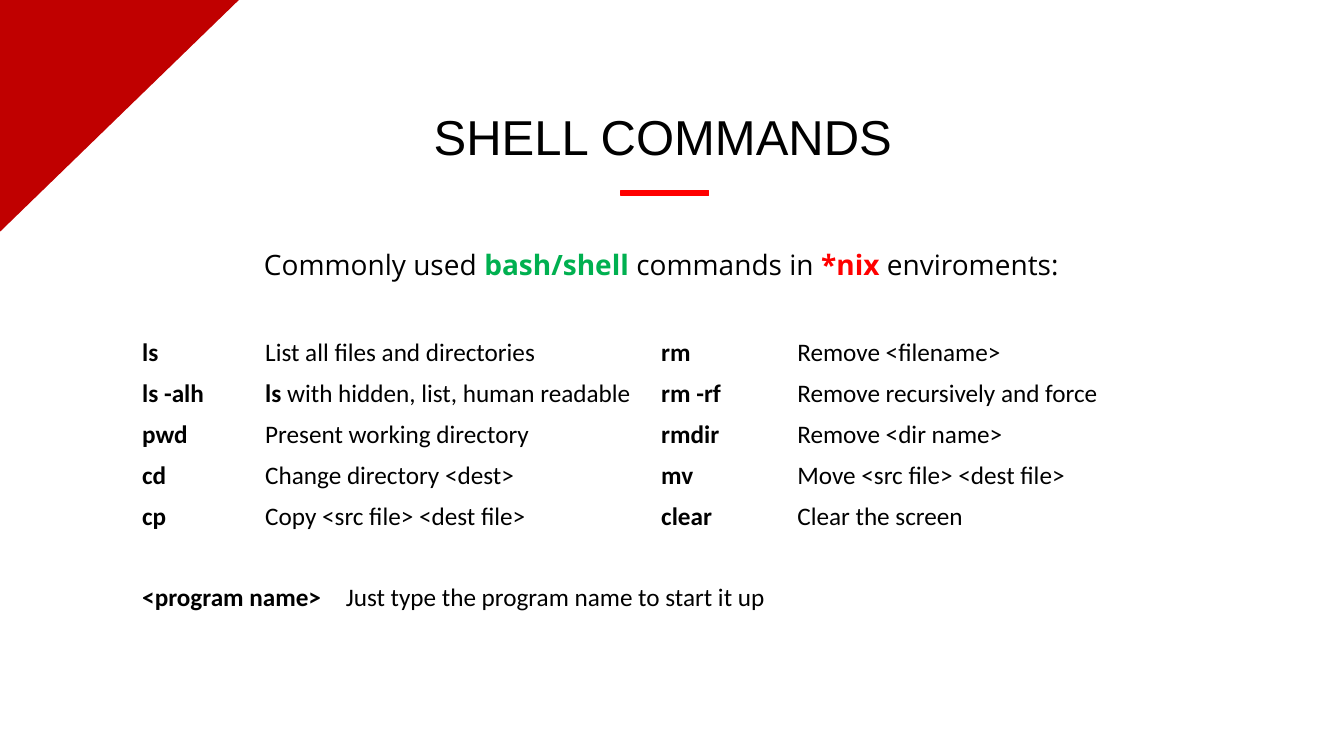
from dataclasses import dataclass

from lxml.etree import SubElement
from pptx import Presentation
from pptx.dml.color import RGBColor
from pptx.enum.shapes import MSO_SHAPE as Shape
from pptx.enum.text import MSO_ANCHOR as Anchor, PP_ALIGN as Align
from pptx.oxml.ns import qn
from pptx.util import Cm, Pt


@dataclass(frozen=True)
class Theme:
    black: RGBColor = RGBColor(0x00, 0x00, 0x00)
    corner: RGBColor = RGBColor(0xC0, 0x00, 0x00)
    red: RGBColor = RGBColor(0xFF, 0x00, 0x00)
    green: RGBColor = RGBColor(0x00, 0xB0, 0x50)
    title_font: str = "Arial"
    intro_font: str = "Open Sans"
    table_font: str = "Calibri"
    title_size: Pt = Pt(35)
    intro_size: Pt = Pt(20)
    table_size: Pt = Pt(18)


theme = Theme()


def add_run(paragraph, text, font, size, color=theme.black, bold=False):
    run = paragraph.add_run()
    run.text = text
    run.font.name = font
    run.font.size = size
    run.font.bold = bold
    run.font.color.rgb = color


def add_block(kind, left, top, width, height, color):
    block = slide.shapes.add_shape(kind, Cm(left), Cm(top), Cm(width), Cm(height))
    block.shadow.inherit = False
    block.fill.solid()
    block.fill.fore_color.rgb = color
    block.line.color.rgb = color
    block.line.width = Pt(1)
    return block


deck = Presentation()
deck.slide_width, deck.slide_height = Cm(33.87), Cm(19.05)
slide = deck.slides.add_slide(deck.slide_layouts[5])

# Corner triangle, turned so that its right angle sits top left
corner = add_block(Shape.RIGHT_TRIANGLE, 0.09, -0.09, 5.84, 6.02, theme.corner)
corner.rotation = 90
corner.line.fill.background()

# Title and the bar beneath it
title = slide.shapes.title
title.left, title.top, title.width, title.height = Cm(4.85), Cm(2.54), Cm(23.72), Cm(1.75)
title.text_frame.vertical_anchor = Anchor.MIDDLE
heading = title.text_frame.paragraphs[0]
heading.alignment = Align.CENTER
add_run(heading, "SHELL COMMANDS", theme.title_font, theme.title_size)
add_block(Shape.RECTANGLE, 15.65, 4.8, 2.21, 0.13, theme.red)

# Introduction
intro = slide.shapes.add_textbox(Cm(4.5), Cm(6.1), Cm(24.33), Cm(1.12)).text_frame
intro.word_wrap = True
sentence = intro.paragraphs[0]
sentence.alignment = Align.CENTER
for text, color, bold in [
    ("Commonly used ", theme.black, False),
    ("bash/shell", theme.green, True),
    (" commands in ", theme.black, False),
    ("*nix ", theme.red, True),
    ("enviroments:", theme.black, False),
]:
    add_run(sentence, text, theme.intro_font, theme.intro_size, color, bold)

# Command table: each cell is a list of (text, bold) runs
command_rows = [
    ("ls", [("List all files and directories", False)], "rm", "Remove <filename>"),
    ("ls -alh", [("ls", True), (" with hidden, list, human readable", False)],
     "rm -rf", "Remove recursively and force"),
    ("pwd", [("Present working directory", False)], "rmdir", "Remove <dir name>"),
    ("cd", [("Change directory <dest>", False)], "mv", "Move <src file> <dest file>"),
    ("cp", [("Copy <src file> <dest file>", False)], "clear", "Clear the screen"),
]
program_row = len(command_rows) + 1
column_widths = [3.1, 9.98, 3.43, 10.74]
row_height = 1.03

commands = slide.shapes.add_table(
    program_row + 1, len(column_widths), Cm(3.33), Cm(8.38),
    Cm(sum(column_widths)), Cm(row_height * (program_row + 1))).table
commands.horz_banding = False
for column, width in zip(commands.columns, column_widths):
    column.width = Cm(width)
for row in commands.rows:
    row.height = Cm(row_height)
    for cell in row.cells:
        cell.fill.background()
        cell.text_frame.paragraphs[0].font.size = theme.table_size

for row, (left_name, left_use, right_name, right_use) in zip(commands.rows, command_rows):
    contents = [[(left_name, True)], left_use, [(right_name, True)], [(right_use, False)]]
    for cell, runs in zip(row.cells, contents):
        for text, bold in runs:
            add_run(cell.text_frame.paragraphs[0], text,
                    theme.table_font, theme.table_size, bold=bold)

# Last row spans the table; a tab stop sets the gap after the name
program = commands.cell(program_row, 0)
program.merge(commands.cell(program_row, len(column_widths) - 1))
program_line = program.text_frame.paragraphs[0]
tab_stops = SubElement(program_line._p.get_or_add_pPr(), qn("a:tabLst"))
program_line._p.pPr.insert(0, tab_stops)
SubElement(tab_stops, qn("a:tab"), pos=str(Cm(5.13)), algn="l")
for text, bold in [("<program name>\t", True),
                   ("Just type the program name to start it up", False)]:
    add_run(program_line, text, theme.table_font, theme.table_size, bold=bold)

deck.save("out.pptx")
